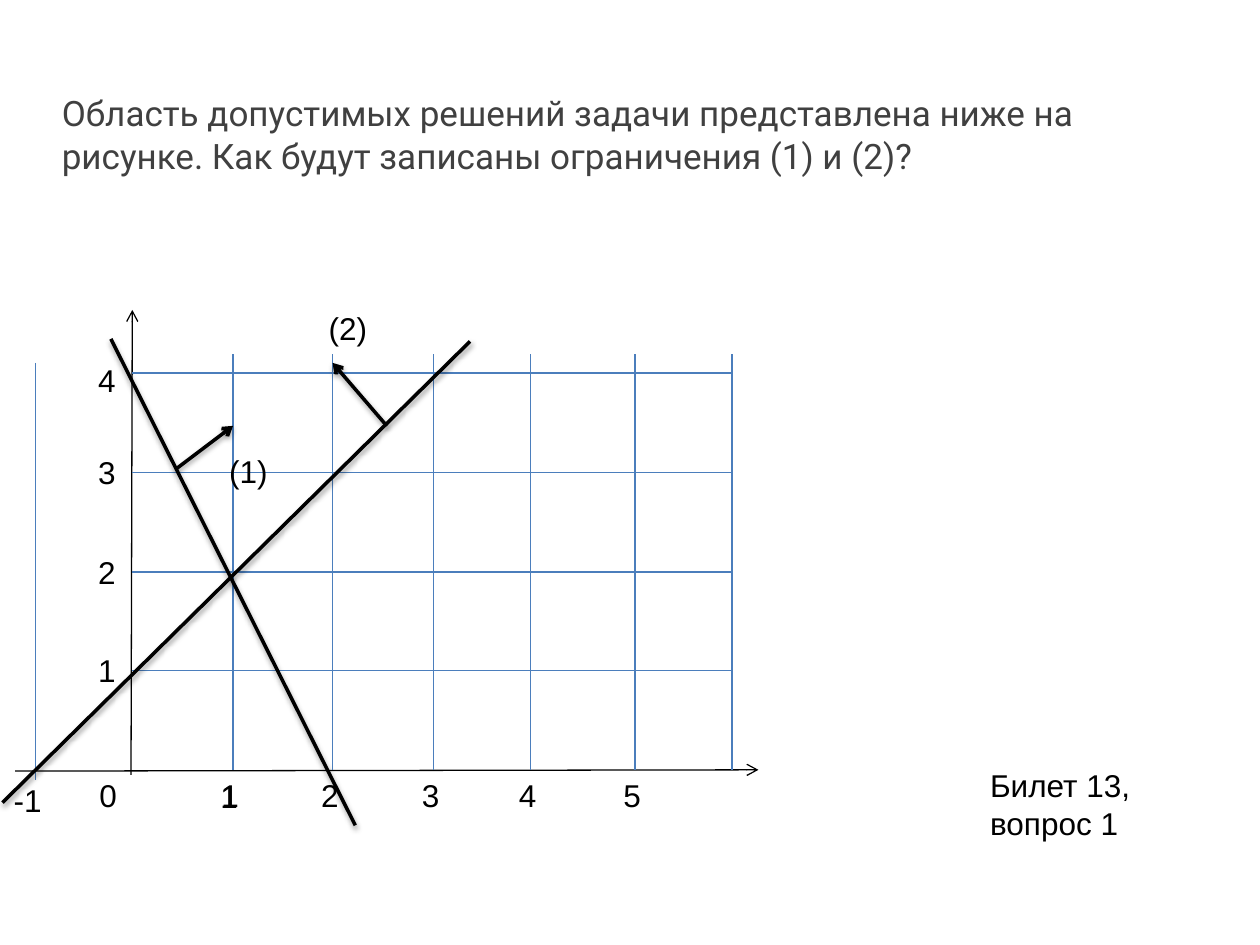
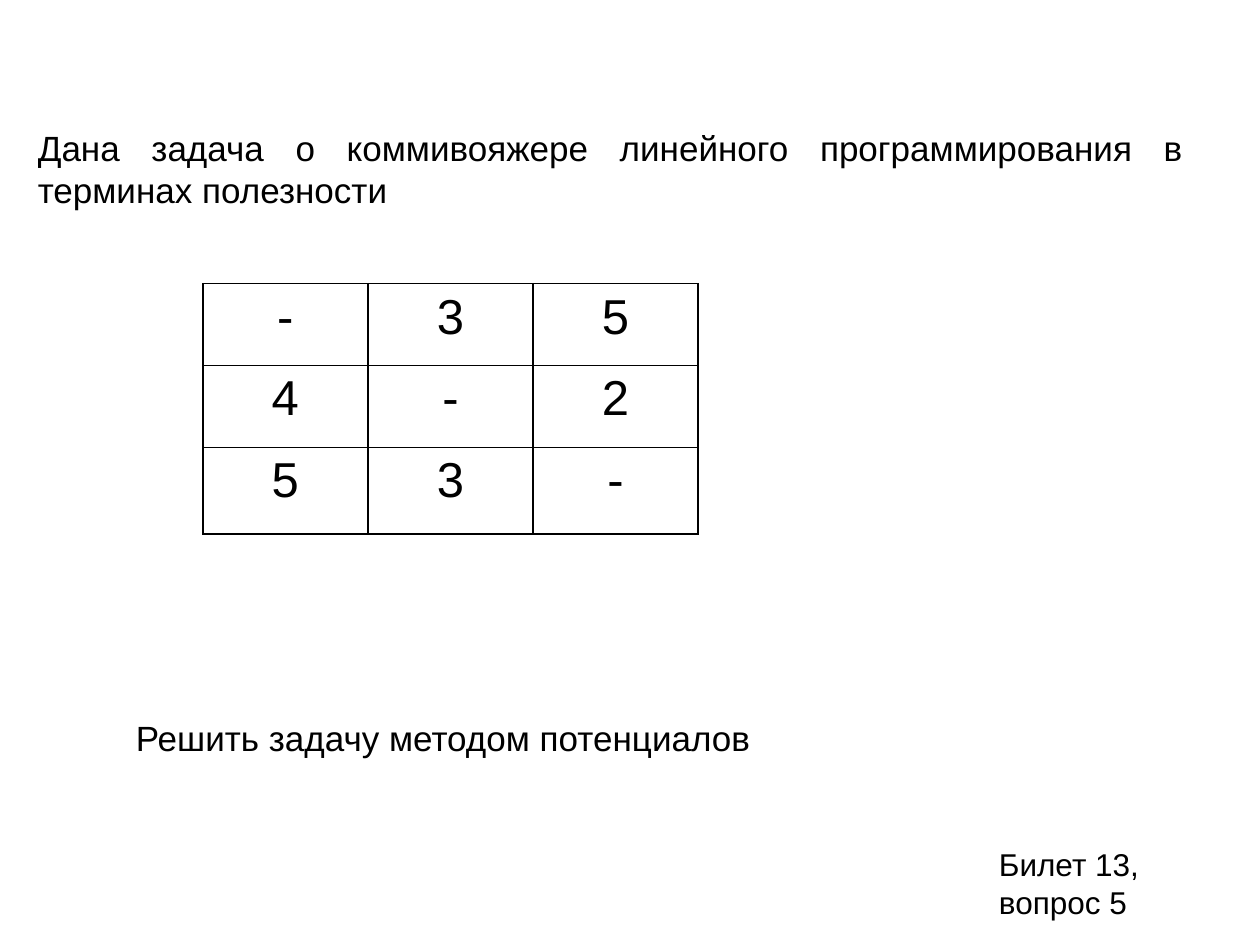
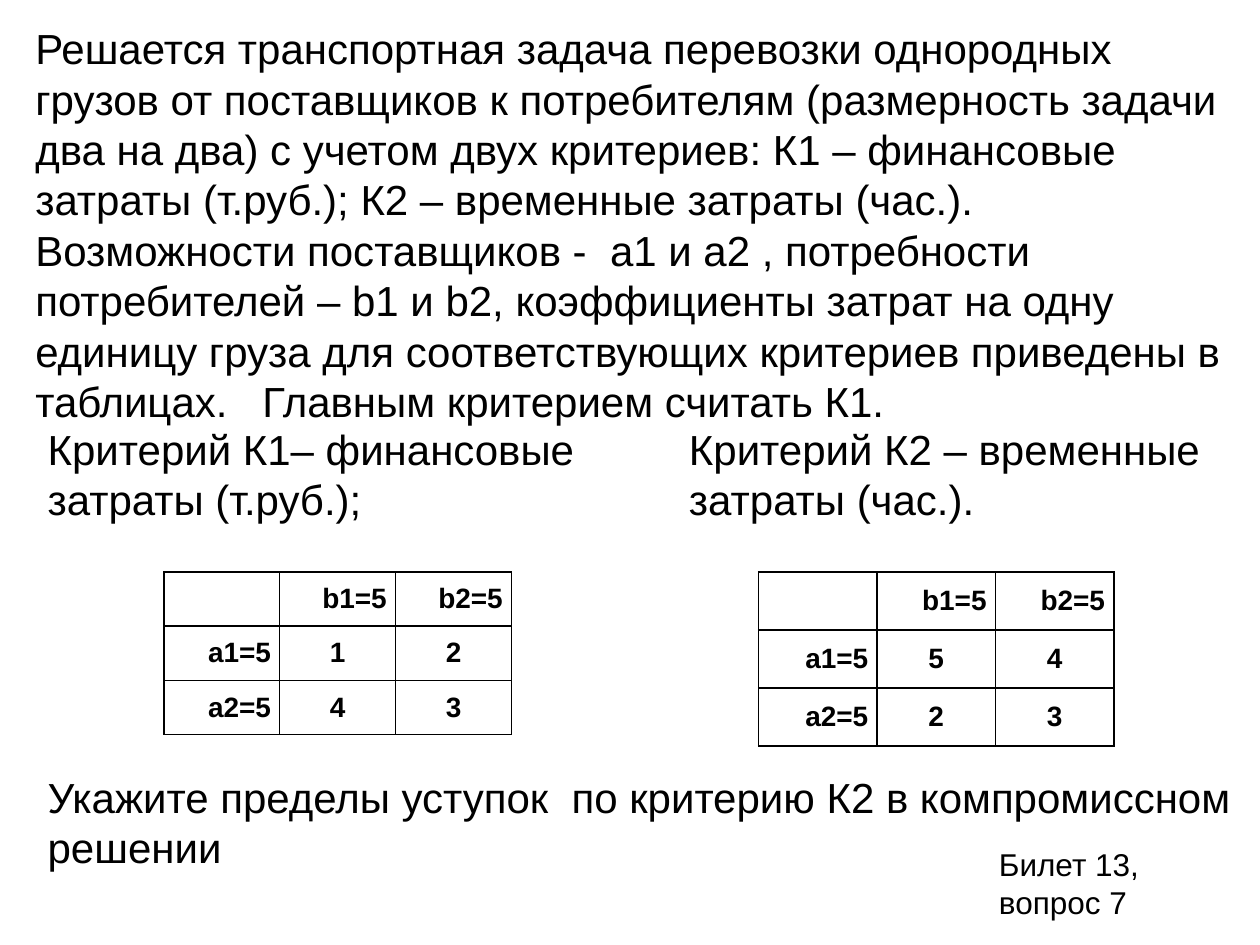
from dataclasses import dataclass

from lxml.etree import SubElement
from pptx import Presentation
from pptx.dml.color import RGBColor
from pptx.enum.shapes import MSO_CONNECTOR
from pptx.enum.text import MSO_ANCHOR, MSO_AUTO_SIZE, PP_ALIGN
from pptx.oxml.ns import qn
from pptx.util import Emu, Pt

EMU_PER_PX = 9144  # 100 px to the inch
TITLE_ONLY = 5


@dataclass(frozen=True)
class Theme:
    ink: str = "000000"
    question: str = "404040"
    grid: str = "4B7EBC"
    font: str = "Arial"
    question_font: str = "Roboto"
    label_size: int = 18
    text_size: int = 20
    large_size: int = 24
    matrix_size: int = 28
    cost_size: int = 16
    thin: float = 0.75
    border: float = 1
    thick: float = 2


def px(length):
    return Emu(round(length * EMU_PER_PX))


def add_solid_fill(parent, color):
    fill = SubElement(parent, qn("a:solidFill"))
    SubElement(fill, qn("a:srgbClr"), val=color)


class Deck:
    """Holds the theme and the slide being drawn."""

    def __init__(self, theme):
        self.theme = theme
        self.presentation = Presentation()
        self.presentation.slide_width = px(1000)
        self.presentation.slide_height = px(750)
        self.slide = None

    def new_slide(self):
        layout = self.presentation.slide_layouts[TITLE_ONLY]
        self.slide = self.presentation.slides.add_slide(layout)

    def add_styled_run(self, paragraph, text, size, color=None, font=None,
                       bold=False, align=PP_ALIGN.LEFT):
        paragraph.alignment = align
        run = paragraph.add_run()
        run.text = text
        run.font.name = font or self.theme.font
        run.font.size = Pt(size)
        run.font.bold = bold
        run.font.color.rgb = RGBColor.from_string(color or self.theme.ink)

    def fill_frame(self, frame, paragraphs, size, anchor=MSO_ANCHOR.TOP, **style):
        frame.word_wrap = True
        frame.auto_size = MSO_AUTO_SIZE.SHAPE_TO_FIT_TEXT
        frame.vertical_anchor = anchor
        for index, text in enumerate(paragraphs):
            paragraph = frame.add_paragraph() if index else frame.paragraphs[0]
            self.add_styled_run(paragraph, text, size, **style)

    def title(self, box, paragraphs, size, **style):
        title = self.slide.shapes.title
        title.left, title.top, title.width, title.height = map(px, box)
        self.fill_frame(title.text_frame, paragraphs, size, **style)

    def text(self, box, text, size):
        shape = self.slide.shapes.add_textbox(*map(px, box))
        self.fill_frame(shape.text_frame, [text], size)

    def label(self, left, top, text, width=37):
        self.text((left, top, width, 40), text, self.theme.label_size)

    def ticket(self, question, left=783, top=666):
        self.text((left, top, 150, 71), f"Билет 13, вопрос {question}",
                  self.theme.label_size)

    def line(self, start, end, color, width, arrow=False, shadow=False):
        connector = self.slide.shapes.add_connector(
            MSO_CONNECTOR.STRAIGHT, *map(px, start + end))
        connector.line.color.rgb = RGBColor.from_string(color)
        connector.line.width = Pt(width)
        properties = connector._element.spPr
        if arrow:
            SubElement(properties.get_or_add_ln(), qn("a:tailEnd"), type="arrow")
        effects = SubElement(properties, qn("a:effectLst"))
        if shadow:
            outer = SubElement(effects, qn("a:outerShdw"), blurRad="40000",
                               dist="20000", dir="5400000", rotWithShape="0")
            shade = SubElement(outer, qn("a:srgbClr"), val=self.theme.ink)
            SubElement(shade, qn("a:alpha"), val="38000")

    def axis(self, start, end):
        self.line(start, end, self.theme.ink, self.theme.thin, arrow=True)

    def grid_line(self, start, end):
        self.line(start, end, self.theme.grid, self.theme.thin)

    def constraint(self, start, end, arrow=False):
        self.line(start, end, self.theme.ink, self.theme.thick, arrow, shadow=True)

    def table(self, left, top, column_width, row_heights, rows):
        """Add a bordered table without fill and return its table object."""
        columns = len(rows[0])
        frame = self.slide.shapes.add_table(
            len(rows), columns, px(left), px(top),
            px(column_width * columns), px(sum(row_heights)))
        table = frame.table
        table.first_row = table.horz_banding = False
        for column in table.columns:
            column.width = px(column_width)
        for row, height in zip(table.rows, row_heights):
            row.height = px(height)
        for cell in table.iter_cells():
            properties = cell._tc.get_or_add_tcPr()
            for side in ("lnL", "lnR", "lnT", "lnB"):
                border = SubElement(properties, qn(f"a:{side}"),
                                    w=str(int(Pt(self.theme.border))))
                add_solid_fill(border, self.theme.ink)
            cell.fill.background()
        return table

    def matrix_table(self, left, top, column_width, row_heights, rows):
        table = self.table(left, top, column_width, row_heights, rows)
        for cell, value in zip(table.iter_cells(), sum(rows, [])):
            self.add_styled_run(cell.text_frame.paragraphs[0], value,
                                self.theme.matrix_size, align=PP_ALIGN.CENTER)

    def cost_table(self, left, top, column_width, row_height, costs):
        """Add a table of costs under the heads of suppliers and consumers."""
        rows = [["", "b1=5", "b2=5"], ["a1=5", *costs[0]], ["a2=5", *costs[1]]]
        table = self.table(left, top, column_width, [row_height] * 3, rows)
        for row, values in enumerate(rows):
            for column, value in enumerate(values):
                cell = table.cell(row, column)
                cell.vertical_anchor = MSO_ANCHOR.MIDDLE
                cell.margin_left = cell.margin_right = px(7)
                cell.margin_top = cell.margin_bottom = 0
                if value:
                    align = PP_ALIGN.CENTER if row and column else PP_ALIGN.RIGHT
                    self.add_styled_run(cell.text_frame.paragraphs[0], value,
                                        self.theme.cost_size, bold=True, align=align)


def build_feasible_region(deck):
    theme = deck.theme
    axis_x, axis_y = 105, 611
    columns = [185, 264, 344, 421, 504, 581]
    rows = [round(axis_y - 78.75 * step) for step in range(1, 5)]
    row_label_tops = [512, 434, 355, 282]

    deck.new_slide()
    deck.title((39, 68, 906, 77),
               ["Область допустимых решений задачи представлена ниже на рисунке. "
                "Как будут записаны ограничения (1) и (2)?"],
               theme.text_size, color=theme.question, font=theme.question_font)

    deck.axis((104, 615), (axis_x, 246))
    deck.axis((12, 612), (602, axis_y))
    for y in rows:
        deck.grid_line((axis_x, y), (582, y))
    for x in columns:
        deck.grid_line((x, 281), (x, axis_y))
    deck.grid_line((28, 288), (28, 619))

    deck.label(69, axis_y, "0")
    for number, x in enumerate(columns[:5], 1):
        deck.label(x - 19, axis_y, str(number))
    deck.label(165, 612, "1")
    for number, top in enumerate(row_label_tops, 1):
        deck.label(68, top, str(number))
    deck.label(1, 615, "-1", width=53)

    deck.constraint((2, 637), (373, 271))
    deck.constraint((88, 269), (282, 655))
    deck.constraint((140, 372), (185, 338), arrow=True)
    deck.constraint((307, 338), (264, 288), arrow=True)
    deck.label(172, 354, "(1)", width=63)
    deck.label(251, 240, "(2)", width=63)
    deck.ticket(1, left=776, top=603)


def build_salesman(deck):
    theme = deck.theme
    deck.new_slide()
    deck.title((20, 95, 929, 77),
               ["Дана задача о коммивояжере линейного программирования "
                "в терминах полезности"],
               theme.text_size, anchor=MSO_ANCHOR.MIDDLE, align=PP_ALIGN.JUSTIFY)
    deck.matrix_table(161, 225, 131, [65, 65, 69],
                      [["-", "3", "5"], ["4", "-", "2"], ["5", "3", "-"]])
    deck.text((98, 564, 661, 44), "Решить задачу методом потенциалов",
              theme.text_size)
    deck.ticket(5)


def build_transport(deck):
    size = deck.theme.large_size
    deck.new_slide()
    deck.title((18, 13, 962, 333), [
        "Решается транспортная задача перевозки однородных грузов от поставщиков "
        "к потребителям (размерность задачи два на два) с учетом двух критериев: "
        "К1 – финансовые затраты (т.руб.); К2 – временные затраты (час.).",
        "Возможности поставщиков -  a1 и a2 , потребности потребителей – b1 и b2, "
        "коэффициенты затрат на одну единицу груза для соответствующих критериев "
        "приведены в таблицах.   Главным критерием считать К1.",
    ], size)
    deck.text((28, 331, 472, 91), "Критерий К1– финансовые затраты (т.руб.);", size)
    deck.text((537, 331, 443, 91), "Критерий К2 – временные затраты (час.).", size)
    deck.cost_table(130, 454, 92, 43, [["1", "2"], ["4", "3"]])
    deck.cost_table(602, 454, 94, 46, [["5", "4"], ["2", "3"]])
    deck.text((28, 607, 961, 91),
              "Укажите пределы уступок  по критерию К2 в компромиссном решении", size)
    deck.ticket(7)


def main():
    deck = Deck(Theme())
    build_feasible_region(deck)
    build_salesman(deck)
    build_transport(deck)
    deck.presentation.save("out.pptx")


if __name__ == "__main__":
    main()
